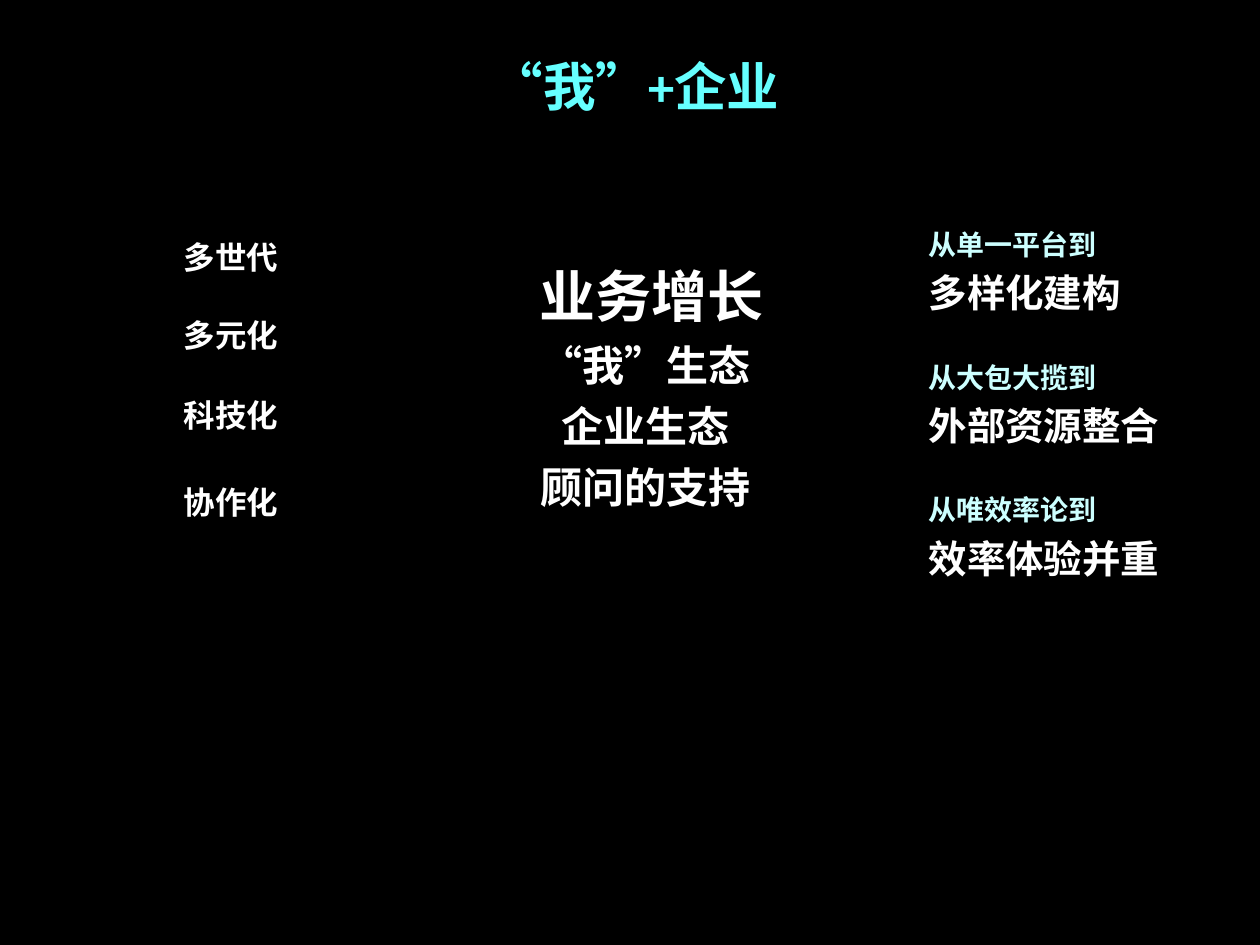
from lxml import etree
from pptx import Presentation, util as u
from pptx.dml.color import RGBColor
from pptx.enum import lang, text
from pptx.oxml import ns

BLACK = RGBColor(0x00, 0x00, 0x00)
WHITE = RGBColor(0xFF, 0xFF, 0xFF)
CYAN = RGBColor(0x66, 0xFF, 0xFF)
PALE = RGBColor(0xCC, 0xFF, 0xFF)
MID, LEFT = text.PP_ALIGN.CENTER, text.PP_ALIGN.LEFT
WIDE, HIGH = 10, 7.5


def clear(cell):
    """Take away the borders and fill of a cell."""
    props = cell._tc.get_or_add_tcPr()
    for side in ("lnL", "lnR", "lnT", "lnB"):
        line = etree.SubElement(props, ns.qn("a:" + side), w="0")
        etree.SubElement(line, ns.qn("a:noFill"))
    cell.fill.background()


def panel(slide, box, lines, align=MID):
    """Place a one-cell table of (text, size, colour, gap before) lines."""
    frame = slide.shapes.add_table(1, 1, *(u.Inches(n) for n in box))
    table = frame.table
    table.first_row = table.horz_banding = False
    cell = table.cell(0, 0)
    clear(cell)
    body = cell.text_frame
    body.text = "\n".join(line[0] for line in lines)
    for para, (_, size, color, gap) in zip(body.paragraphs, lines):
        para.alignment = align
        if gap:
            para.space_before = u.Pt(gap)
        for run in para.runs:
            font = run.font
            font.name, font.size, font.bold = "Calibri", u.Pt(size), True
            font.color.rgb = color
            font.language_id = lang.MSO_LANGUAGE_ID.SIMPLIFIED_CHINESE


def title(slide, box):
    """Place the heading."""
    panel(slide, box, [("“我”+企业", 30, CYAN, 0)])


def trends(slide, box):
    """Place the left column of trends at shares of its height."""
    x, y, w, h = box
    rows = [("多世代", 0, 0.42), ("多元化", 0.26, 0.42),
            ("科技化", 0.53, 0.31), ("协作化", 0.82, 0.42)]
    for label, share, tall in rows:
        panel(slide, (x, y + share * h, w, tall), [(label, 18, WHITE, 0)])


def core(slide, box):
    """Place the central themes."""
    rest = ["“我”生态", "企业生态", "顾问的支持"]
    lines = [("\u00a0业务增长".replace("\u00a0", " "), 32, WHITE, 0)]
    panel(slide, box, lines + [(label, 24, WHITE, 0) for label in rest])


def shifts(slide, box):
    """Place the right column of from-to pairs."""
    pairs = [("从单一平台到", "多样化建构"),
             ("从大包大揽到", "外部资源整合"),
             ("从唯效率论到", "效率体验并重")]
    lines = []
    for old, new in pairs:
        lines += [(old, 16, PALE, 21 if lines else 0), (new, 22, WHITE, 0)]
    panel(slide, box, lines, LEFT)


def main():
    """Build and save the slide."""
    deck = Presentation()
    deck.slide_width, deck.slide_height = u.Inches(WIDE), u.Inches(HIGH)
    slide = deck.slides.add_slide(deck.slide_layouts[6])
    fill = slide.background.fill
    fill.solid()
    fill.fore_color.rgb = BLACK
    title(slide, (1.72, 0.31, 6.64, 0.71))
    trends(slide, (1.25, 1.8, 1.17, 2.37))
    core(slide, (3.83, 1.95, 2.58, 2.11))
    shifts(slide, (7.27, 1.72, 2.27, 2.73))
    deck.save("out.pptx")


if __name__ == "__main__":
    main()
